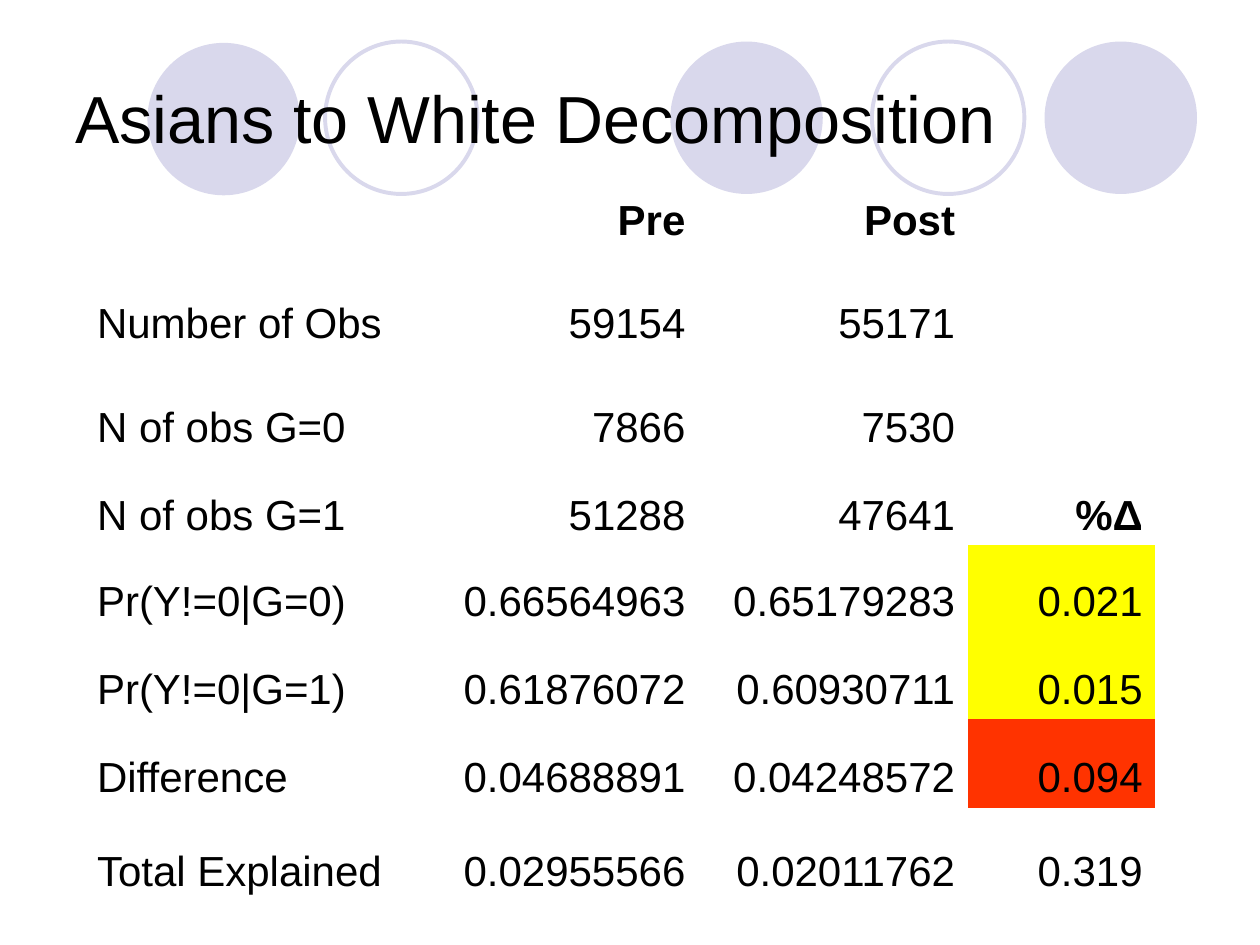
"""Build the Asians to White Decomposition slide with its table of estimates."""
from dataclasses import dataclass

from pptx import Presentation
from pptx import util as u
from pptx.dml.color import RGBColor
from pptx.enum import shapes, text
from pptx.oxml import ns

FONT = "Arial"
LAVENDER, YELLOW, RED = "D9D8EC", "FFFF00", "FF3300"
NO_STYLE = "{2D5ABB26-0587-4C30-8999-92F81FD0307C}"
CIRCLE_SIZE = 1.21
COLUMN_WIDTHS = (2.74, 2.13, 2.14, 1.49)


@dataclass
class Circle:
    left: float
    top: float
    filled: bool


@dataclass
class Row:
    height: float
    values: tuple[str, str, str, str]
    highlight: str | None = None


CIRCLES = (
    Circle(5.32, 0.33, True),
    Circle(8.29, 0.33, True),
    Circle(1.17, 0.34, True),
    Circle(6.92, 0.33, False),
    Circle(2.58, 0.33, False),
)
ROWS = (
    Row(0.57, ("", "Pre", "Post", "")),
    Row(0.82, ("Number of Obs", "59154", "55171", "")),
    Row(0.82, ("N of obs G=0", "7866", "7530", "")),
    Row(0.7, ("N of obs G=1", "51288", "47641", "%Δ")),
    Row(0.68, ("Pr(Y!=0|G=0)", "0.66564963", "0.65179283", "0.021"), YELLOW),
    Row(0.7, ("Pr(Y!=0|G=1)", "0.61876072", "0.60930711", "0.015"), YELLOW),
    Row(0.7, ("Difference", "0.04688891", "0.04248572", "0.094"), RED),
    Row(0.75, ("Total Explained", "0.02955566", "0.02011762", "0.319")),
)
HEADINGS = {"Pre", "Post", "%Δ"}


def colour(value: str) -> RGBColor:
    return RGBColor.from_string(value)


def write(frame, content: str, *, size: float, bold: bool = False,
          align=text.PP_ALIGN.LEFT) -> None:
    para = frame.paragraphs[0]
    para.alignment = align
    span = para.add_run()
    span.text = content
    span.font.name = FONT
    span.font.size = u.Pt(size)
    span.font.bold = bold
    span.font.color.rgb = colour("000000")


def draw_circle(page, circle: Circle) -> None:
    size = u.Inches(CIRCLE_SIZE)
    shape = page.shapes.add_shape(shapes.MSO_SHAPE.OVAL, u.Inches(circle.left),
                                  u.Inches(circle.top), size, size)
    shape.shadow.inherit = False
    if circle.filled:
        shape.fill.solid()
        shape.fill.fore_color.rgb = colour(LAVENDER)
        shape.line.fill.background()
    else:
        shape.fill.background()
        shape.line.color.rgb = colour(LAVENDER)
        shape.line.width = u.Pt(2.25)


def draw_title(page, content: str) -> None:
    box = page.shapes.add_textbox(u.Inches(0.5), u.Inches(0.3), u.Inches(9), u.Inches(1.25))
    box.text_frame.word_wrap = True
    box.text_frame.vertical_anchor = text.MSO_ANCHOR.MIDDLE
    write(box.text_frame, content, size=38)


def fill_cell(cell, content: str, is_label: bool, highlight: str | None) -> None:
    cell.vertical_anchor = text.MSO_ANCHOR.BOTTOM
    if highlight:
        cell.fill.solid()
        cell.fill.fore_color.rgb = colour(highlight)
    else:
        cell.fill.background()
    if content:
        align = text.PP_ALIGN.LEFT if is_label else text.PP_ALIGN.RIGHT
        write(cell.text_frame, content, size=24, bold=content in HEADINGS, align=align)


def draw_table(page) -> None:
    frame = page.shapes.add_table(
        len(ROWS), len(COLUMN_WIDTHS), u.Inches(0.67), u.Inches(1.42),
        u.Inches(sum(COLUMN_WIDTHS)), u.Inches(sum(row.height for row in ROWS)))
    table = frame.table
    table.first_row = table.horz_banding = False
    frame._element.find(".//" + ns.qn("a:tableStyleId")).text = NO_STYLE
    for column, width in zip(table.columns, COLUMN_WIDTHS):
        column.width = u.Inches(width)
    last = len(COLUMN_WIDTHS) - 1
    for table_row, row in zip(table.rows, ROWS):
        table_row.height = u.Inches(row.height)
        for index, (cell, content) in enumerate(zip(table_row.cells, row.values)):
            fill_cell(cell, content, index == 0, row.highlight if index == last else None)


def main() -> None:
    deck = Presentation()
    deck.slide_width, deck.slide_height = u.Inches(10), u.Inches(7.5)
    page = deck.slides.add_slide(deck.slide_layouts[6])
    for circle in CIRCLES:
        draw_circle(page, circle)
    draw_title(page, "Asians to White Decomposition")
    draw_table(page)
    deck.save("out.pptx")


if __name__ == "__main__":
    main()
